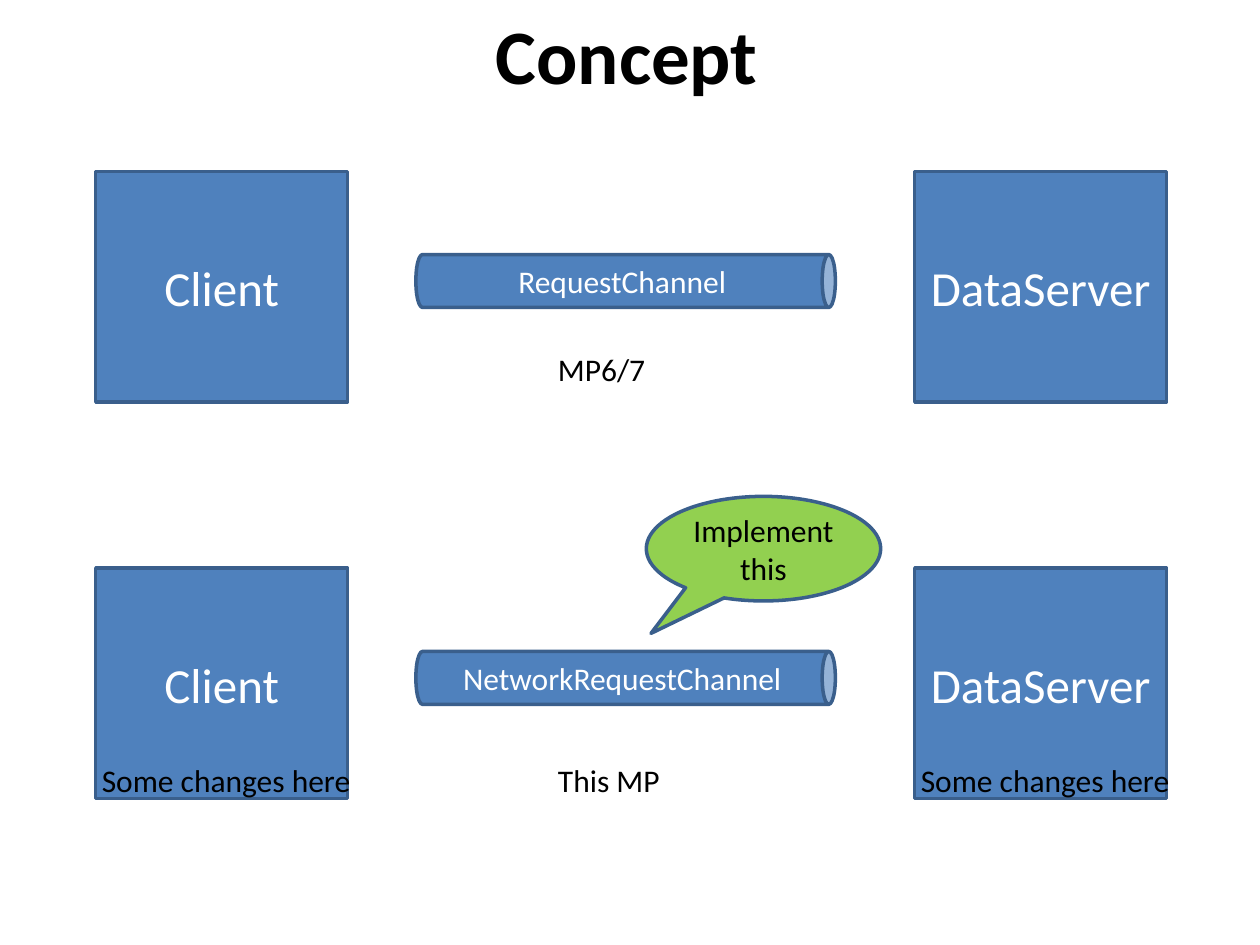
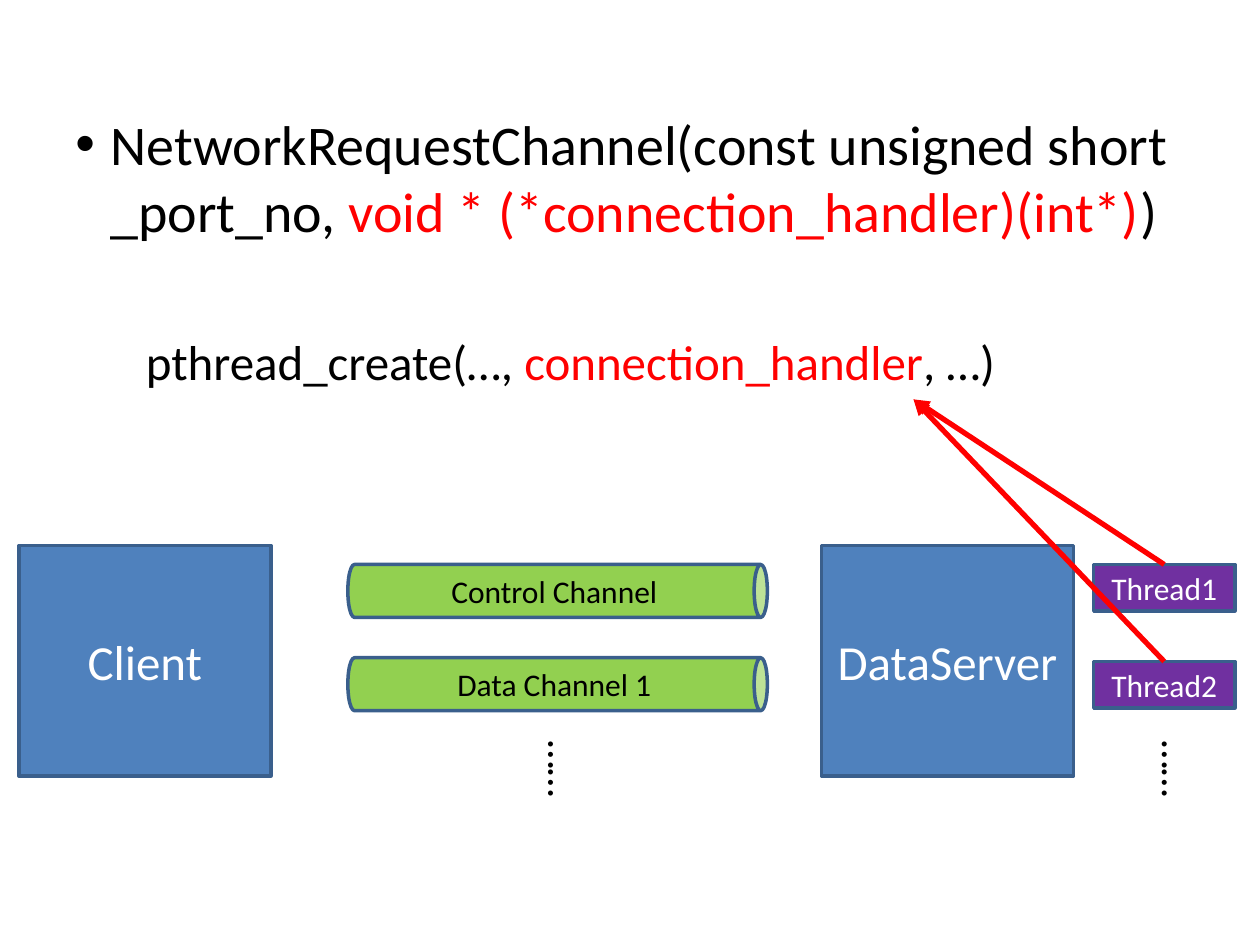
import pptx
import pptx.util
import pptx.dml.color
import pptx.enum.shapes
import pptx.enum.text
from lxml import etree
from pptx.oxml.ns import qn

Inches = pptx.util.Inches
Pt = pptx.util.Pt
SHAPES = pptx.enum.shapes.MSO_SHAPE
ALIGN = pptx.enum.text.PP_ALIGN
ANCHOR = pptx.enum.text.MSO_ANCHOR

FONT = "Calibri"
BLUE, EDGE, GREEN, PURPLE = "4F81BD", "3A5F8C", "92D050", "7030A0"
RED, BLACK, WHITE = "FF0000", "000000", "FFFFFF"
HOST_WIDTH, HOST_HEIGHT = 2, 1.83
PIPE_LENGTH, PIPE_WIDTH = 3.33, 0.42
THREAD_WIDTH, THREAD_HEIGHT = 1.12, 0.37


def color(value):
    return pptx.dml.color.RGBColor.from_string(value)


def add_span(para, text, size, tone=BLACK, bold=False):
    span = para.add_run()
    span.text = text
    span.font.name = FONT
    span.font.size = Pt(size)
    span.font.bold = bold
    span.font.color.rgb = color(tone)
    return span


def add_text(page, left, top, width, height, text, size=18, wrap=False):
    box = page.shapes.add_textbox(
        Inches(left), Inches(top), Inches(width), Inches(height))
    box.text_frame.word_wrap = wrap
    add_span(box.text_frame.paragraphs[0], text, size)
    return box


def add_block(page, kind, left, top, width, height, text, size=18,
              fill=BLUE, tone=WHITE):
    block = page.shapes.add_shape(
        kind, Inches(left), Inches(top), Inches(width), Inches(height))
    block.shadow.inherit = False
    block.fill.solid()
    block.fill.fore_color.rgb = color(fill)
    block.line.color.rgb = color(EDGE)
    block.line.width = Pt(2)
    frame = block.text_frame
    frame.word_wrap = True
    frame.vertical_anchor = ANCHOR.MIDDLE
    para = frame.paragraphs[0]
    para.alignment = ALIGN.CENTER
    add_span(para, text, size, tone)
    return block


def add_host(page, left, top, name):
    add_block(page, SHAPES.RECTANGLE, left, top, HOST_WIDTH, HOST_HEIGHT, name, 28)


def add_pipe(page, left, top, name, fill=BLUE, tone=WHITE):
    """A can laid on its side; left and top describe it as it lies."""
    shift = (PIPE_LENGTH - PIPE_WIDTH) / 2
    pipe = add_block(page, SHAPES.CAN, left + shift, top - shift,
                     PIPE_WIDTH, PIPE_LENGTH, name, fill=fill, tone=tone)
    pipe.rotation = 90
    pipe.text_frame._txBody.bodyPr.set("vert", "vert270")


def add_dots(page, left, top):
    add_text(page, left, top, 0.67, 0.5, "……", 24).rotation = 90


def add_arrow(page, start, end):
    arrow = page.shapes.add_connector(
        pptx.enum.shapes.MSO_CONNECTOR.STRAIGHT,
        *(Inches(value) for value in start + end))
    arrow.line.color.rgb = color(RED)
    arrow.line.width = Pt(3)
    etree.SubElement(arrow.line._get_or_add_ln(), qn("a:tailEnd"), type="triangle")
    etree.SubElement(arrow._element.spPr, qn("a:effectLst"))


def add_title(page, text):
    box = page.shapes.add_textbox(Inches(0.17), Inches(0.02), Inches(9.61), Inches(0.81))
    box.text_frame.word_wrap = True
    box.text_frame.vertical_anchor = ANCHOR.MIDDLE
    para = box.text_frame.paragraphs[0]
    para.alignment = ALIGN.CENTER
    span = add_span(para, text, 44, bold=True)
    # Soft shadow behind the letters
    effects = etree.Element(qn("a:effectLst"))
    shadow = etree.SubElement(effects, qn("a:outerShdw"), blurRad="38100",
                              dist="38100", dir="2700000", algn="tl")
    tone = etree.SubElement(shadow, qn("a:srgbClr"), val=BLACK)
    etree.SubElement(tone, qn("a:alpha"), val="43000")
    span._r.rPr.find(qn("a:solidFill")).addnext(effects)


def add_exchange(page, left, top, channel):
    """Client, channel and server in one row."""
    add_host(page, left, top, "Client")
    add_host(page, left + 6.5, top, "DataServer")
    add_pipe(page, left + 2.54, top + 0.66, channel)


def add_signatures(page, left, top, width, height):
    box = page.shapes.add_textbox(
        Inches(left), Inches(top), Inches(width), Inches(height))
    frame = box.text_frame
    frame.word_wrap = True

    # Bulleted constructor
    para = frame.paragraphs[0]
    layout = para._p.get_or_add_pPr()
    layout.set("marL", str(Inches(0.28)))
    layout.set("indent", str(-Inches(0.28)))
    etree.SubElement(layout, qn("a:buFont"), typeface="Arial")
    etree.SubElement(layout, qn("a:buChar"), char="•")
    add_span(para, "NetworkRequestChannel(const unsigned short _port_no, ", 32)
    add_span(para, "void * (*connection_handler)(int*)", 32, RED)
    add_span(para, ")", 32)

    # Indented call
    para = frame.add_paragraph()
    para.space_before = Pt(50)
    para._p.get_or_add_pPr().set("marL", str(Inches(0.56)))
    add_span(para, "pthread_create(…, ", 28)
    add_span(para, "connection_handler", 28, RED)
    add_span(para, ", …)", 28)


def build_concept(page):
    add_title(page, "Concept")
    left, old_top, new_top = 0.76, 1.36, 4.51
    add_exchange(page, left, old_top, "RequestChannel")
    add_exchange(page, left, new_top, "NetworkRequestChannel")

    # Captions
    add_text(page, 4.33, 2.73, 0.9, 0.4, "MP6/7")
    add_text(page, 4.33, 5.99, 1.02, 0.4, "This MP")
    for host_left in (left, left + 6.5):
        add_text(page, host_left - 0.05, 5.99, 2.34, 0.4, "Some changes here", wrap=True)

    # Callout on the new channel
    callout = add_block(page, SHAPES.OVAL_CALLOUT, 5.13, 3.94, 1.86, 0.83,
                        "Implement this", fill=GREEN, tone=BLACK)
    callout.adjustments[0] = -0.48
    callout.adjustments[1] = 0.81


def build_threads(page):
    add_signatures(page, 0.5, 0.82, 9, 6.16)
    top = 4.33
    add_host(page, 0.15, top, "Client")
    add_host(page, 6.52, top, "DataServer")

    # Channels
    for row, name in enumerate(("Control Channel", "Data Channel 1")):
        add_pipe(page, 2.76, top + 0.15 + row * 0.74, name, GREEN, BLACK)

    # Threads
    thread_left = 8.68
    thread_tops = [top + 0.15 + row * 0.77 for row in range(2)]
    for number, thread_top in enumerate(thread_tops, 1):
        add_block(page, SHAPES.RECTANGLE, thread_left, thread_top,
                  THREAD_WIDTH, THREAD_HEIGHT, f"Thread{number}", fill=PURPLE)

    for dots_left in (4.15, 9.02):
        add_dots(page, dots_left, 5.86)

    # Arrows from the threads to the handler
    for thread_top in thread_tops:
        add_arrow(page, (thread_left + THREAD_WIDTH / 2, thread_top), (7.25, 3.17))


def main():
    deck = pptx.Presentation()
    deck.slide_width, deck.slide_height = Inches(10), Inches(7.5)
    for build in (build_concept, build_threads):
        build(deck.slides.add_slide(deck.slide_layouts[6]))
    deck.save("out.pptx")


if __name__ == "__main__":
    main()
